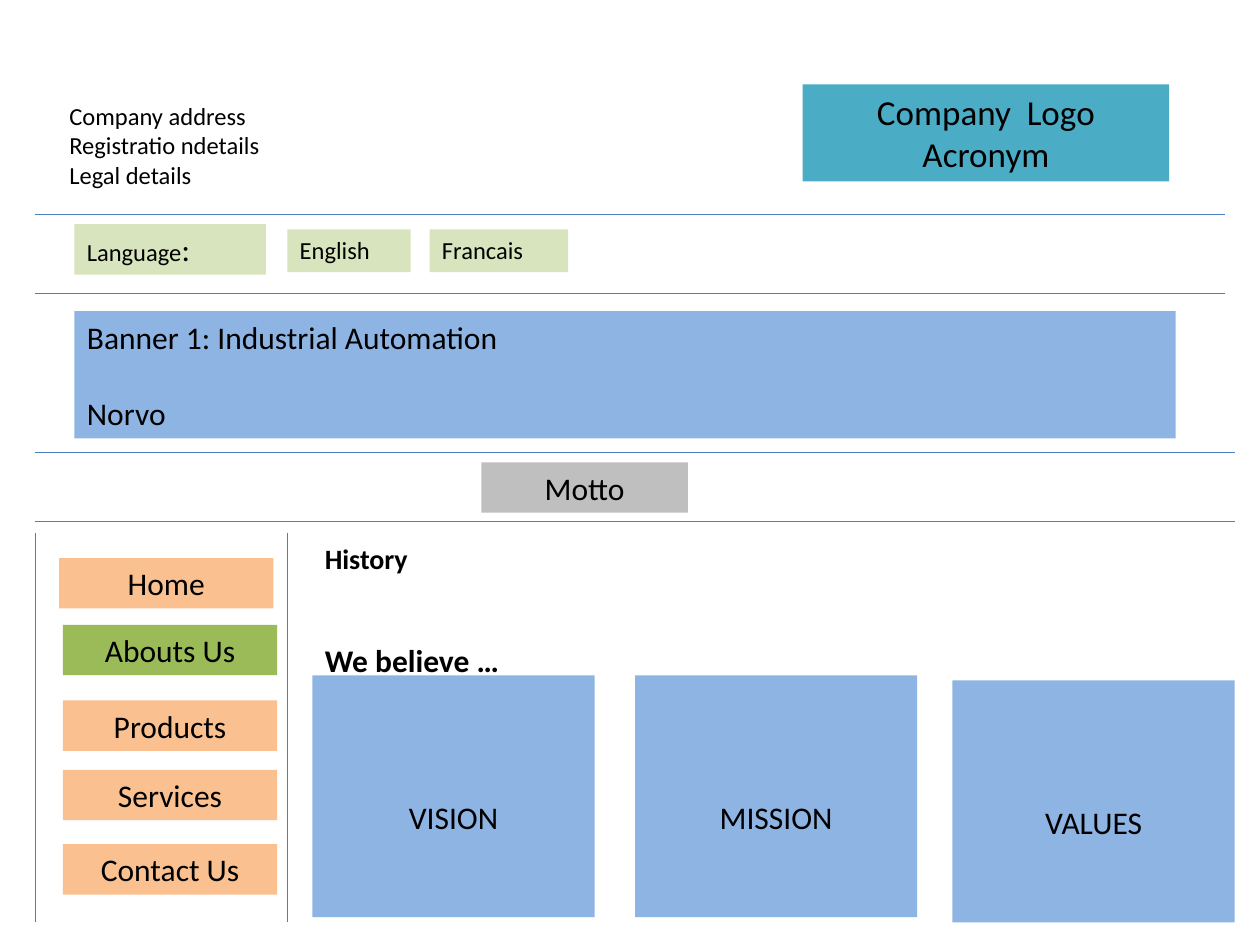
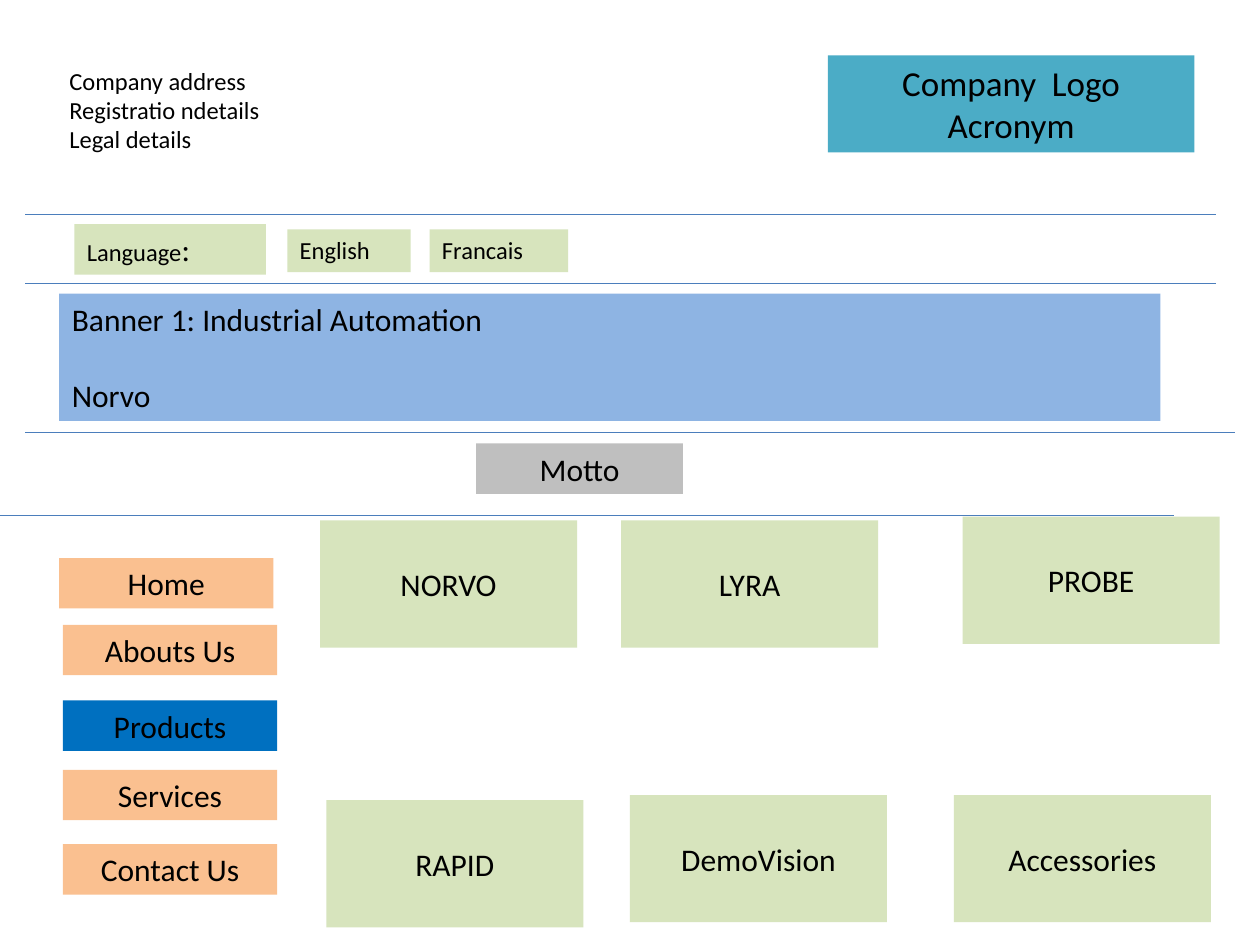
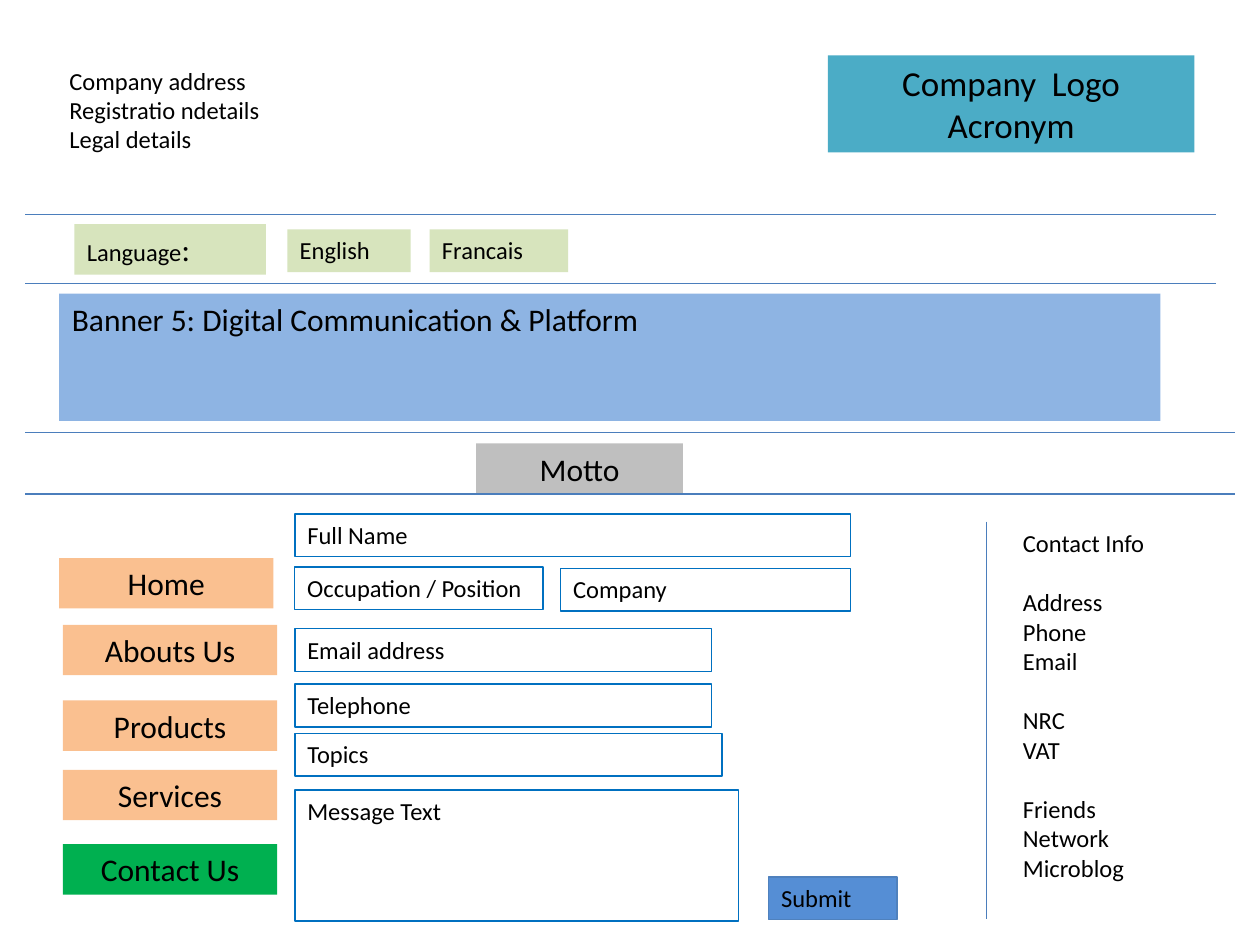
from dataclasses import dataclass, replace

from lxml import etree
from pptx import Presentation
from pptx.dml.color import RGBColor
from pptx.enum.shapes import MSO_CONNECTOR, MSO_SHAPE
from pptx.enum.text import MSO_ANCHOR, MSO_AUTO_SIZE, PP_ALIGN
from pptx.oxml.ns import qn
from pptx.util import Inches, Pt

RECT, LINE = MSO_SHAPE.RECTANGLE, MSO_CONNECTOR.STRAIGHT
LEFT, CENTER = PP_ALIGN.LEFT, PP_ALIGN.CENTER
TOP, MIDDLE = MSO_ANCHOR.TOP, MSO_ANCHOR.MIDDLE
NO_FIT = MSO_AUTO_SIZE.NONE


@dataclass(frozen=True)
class Theme:
    font: str = "Calibri"
    ink: str = "000000"
    logo: str = "4BACC6"
    pale: str = "D7E4BD"
    blue: str = "8EB4E3"
    peach: str = "FAC090"
    gray: str = "BFBFBF"
    rule: str = "4B7EBC"
    edge: str = "0070C0"
    send: str = "558ED5"
    rim: str = "4F81BD"
    small: int = 14
    mid: int = 16
    base: int = 18
    large: int = 20
    thin: float = 0.75
    lead: float = 1.22  # line height as a multiple of type size


T = Theme()


@dataclass(frozen=True)
class Look:
    fill: str | None = None
    edge: str | None = None
    size: int = T.base
    align: PP_ALIGN = CENTER
    anchor: MSO_ANCHOR = TOP
    bold: bool = False
    inset: float = 0.05


@dataclass(frozen=True)
class Box:
    text: str
    left: float
    top: float
    width: float
    height: float
    look: Look


@dataclass(frozen=True)
class Rule:
    x1: float
    y1: float
    x2: float
    y2: float


@dataclass(frozen=True)
class Head:
    """Places of the shared page head; the rules are listed per slide."""
    logo: tuple[float, float]
    info: float
    banner: tuple[float, float]
    motto: tuple[float, float]


PLAIN = Look(size=T.small, align=LEFT)
CHIP = replace(PLAIN, fill=T.pale)
FIELD = replace(PLAIN, edge=T.edge)
SUBMIT = replace(PLAIN, fill=T.send, edge=T.rim)
BANNER = Look(T.blue, align=LEFT)
NAV = Look(T.peach)
PANEL = Look(T.blue, inset=0.97)
TILE = Look(T.pale, anchor=MIDDLE)
BOLD = Look(align=LEFT, bold=True)

FIRST = Head((6.37, 0.67), 0.75, (0.59, 2.47), (3.82, 3.67))
LATER = Head((6.57, 0.44), 0.47, (0.47, 2.33), (3.78, 3.52))
TOP_RULES = [Rule(0.2, 1.7, 9.65, 1.7), Rule(0.2, 2.25, 9.65, 2.25),
             Rule(0.2, 3.43, 9.8, 3.43)]
MENU = [("Home", 0.47, 4.43), ("Abouts Us", 0.5, 4.96), ("Products", 0.5, 5.56),
        ("Services", 0.5, 6.11), ("Contact Us", 0.5, 6.7)]


def apply(item, values: dict) -> None:
    for name, value in values.items():
        setattr(item, name, value)


def color(code: str) -> RGBColor:
    return RGBColor.from_string(code)


def add_run(para, text: str, size: int, bold: bool = False) -> None:
    run = para.add_run()
    run.text = text
    apply(run.font, {"name": T.font, "size": Pt(size), "bold": bold})
    run.font.color.rgb = color(T.ink)


def write(shape, text: str, look: Look) -> None:
    """One paragraph a line; a double break opens a gap one line high."""
    frame = shape.text_frame
    apply(frame, {"word_wrap": True, "auto_size": NO_FIT,
                  "vertical_anchor": look.anchor,
                  "margin_left": Inches(0.1), "margin_right": Inches(0.1),
                  "margin_top": Inches(look.inset), "margin_bottom": Inches(0.05)})
    para = None
    for group in text.split("\n\n"):
        gap = 0 if para is None else look.size * T.lead
        for line in group.split("\n"):
            para = frame.paragraphs[0] if para is None else frame.add_paragraph()
            apply(para, {"alignment": look.align, "space_before": Pt(gap),
                         "space_after": Pt(0)})
            add_run(para, line, look.size, look.bold)
            gap = 0


def place(shape, box: Box) -> None:
    apply(shape, {"left": Inches(box.left), "top": Inches(box.top),
                  "width": Inches(box.width), "height": Inches(box.height)})
    if box.look.fill:
        shape.fill.solid()
        shape.fill.fore_color.rgb = color(box.look.fill)
    else:
        shape.fill.background()
    if box.look.edge:
        shape.line.color.rgb = color(box.look.edge)
        shape.line.width = Pt(T.thin)
    else:
        shape.line.fill.background()
    write(shape, box.text, box.look)


def add_box(slide, box: Box):
    if box.look.fill or box.look.edge:
        shape = slide.shapes.add_shape(RECT, 0, 0, 0, 0)
        shape.shadow.inherit = False
    else:
        shape = slide.shapes.add_textbox(0, 0, 0, 0)
    place(shape, box)
    return shape


def add_rule(slide, rule: Rule) -> None:
    ends = [Inches(v) for v in (rule.x1, rule.y1, rule.x2, rule.y2)]
    line = slide.shapes.add_connector(LINE, *ends)
    line.line.color.rgb = color(T.rule)
    line.line.width = Pt(T.thin)
    etree.SubElement(line._element.spPr, qn("a:effectLst"))


def add_page(deck, head: Head, banner: str, active: str, tint: str,
             rules: list[Rule], boxes: list[Box]) -> None:
    slide = deck.slides.add_slide(deck.slide_layouts[1])

    # Banner as title, company details as body
    place(slide.shapes.title, Box(banner, *head.banner, 8.74, 1.01, BANNER))
    body = slide.placeholders[1]
    place(body, Box("Company address\nRegistratio ndetails\nLegal details",
                    0.45, head.info, 3.67, 0.81, PLAIN))
    for para in body.text_frame.paragraphs:
        props = para._p.get_or_add_pPr()
        props.set("marL", "0")
        props.set("indent", "0")
        etree.SubElement(props, qn("a:buNone"))

    # Logo box, languages and motto
    add_box(slide, Box("Company  Logo\nAcronym", *head.logo, 2.91, 0.77,
                       Look(T.logo, size=T.large)))
    label = add_box(slide, Box("Language", 0.59, 1.78, 1.52, 0.4, CHIP))
    add_run(label.text_frame.paragraphs[0], ":", T.base)
    add_box(slide, Box("English", 2.28, 1.82, 0.98, 0.34, CHIP))
    add_box(slide, Box("Francais", 3.41, 1.82, 1.1, 0.34, CHIP))
    add_box(slide, Box("Motto", *head.motto, 1.64, 0.4, Look(T.gray)))

    # Rules, menu and page content
    for rule in rules:
        add_rule(slide, rule)
    for name, left, top in MENU:
        look = replace(NAV, fill=tint) if name == active else NAV
        add_box(slide, Box(name, left, top, 1.7, 0.4, look))
    for box in boxes:
        add_box(slide, box)


def main() -> None:
    deck = Presentation()
    deck.slide_width, deck.slide_height = Inches(10), Inches(7.5)
    brand = "Banner 1: Industrial Automation\n\nNorvo"

    # About us
    rules = [Rule(0.28, y, end, y) for y, end in
             ((1.7, 9.72), (2.33, 9.72), (3.59, 9.8), (4.14, 9.8))]
    rules += [Rule(x, 4.23, x, 7.32) for x in (0.28, 2.28)]
    panels = [Box(name, left, top, 2.24, 1.92, PANEL) for name, left, top in
              (("VISION", 2.48, 5.36), ("MISSION", 5.04, 5.36), ("VALUES", 7.56, 5.4))]
    heads = [Box("History", 2.48, 4.25, 1.73, 0.4, replace(BOLD, size=T.mid)),
             Box("We believe …", 2.48, 5.04, 2.03, 0.4, BOLD)]
    add_page(deck, FIRST, brand, "Abouts Us", "9BBB59", rules, panels + heads)

    # Products
    tiles = [Box(name, left, top, 2.04, 1.01, TILE) for name, left, top in
             (("NORVO", 2.54, 4.13), ("LYRA", 4.93, 4.13), ("PROBE", 7.64, 4.1),
              ("RAPID", 2.59, 6.35), ("DemoVision", 5, 6.31), ("Accessories", 7.57, 6.31))]
    add_page(deck, LATER, brand, "Products", "0070C0",
             TOP_RULES + [Rule(0, 4.09, 9.32, 4.09)], tiles)

    # Contact form
    form = [Box(name, left, top, width, 0.34, FIELD) for name, left, top, width in
            (("Full Name", 2.34, 4.08, 4.41), ("Occupation / Position", 2.34, 4.5, 1.97),
             ("Company", 4.45, 4.51, 2.3), ("Email address", 2.34, 4.99, 3.31),
             ("Telephone", 2.34, 5.43, 3.31), ("Topics", 2.34, 5.82, 3.39))]
    form += [Box("Message Text", 2.34, 6.27, 3.52, 1.04, FIELD),
             Box("Submit", 6.1, 6.96, 1.02, 0.34, SUBMIT),
             Box("Contact Info\n\nAddress\nPhone\nEmail\n\nNRC\nVAT\n\n"
                 "Friends\nNetwork\nMicroblog", 8.02, 4.14, 1.77, 2.93, PLAIN)]
    add_page(deck, LATER, "Banner 5: Digital Communication & Platform",
             "Contact Us", "00B050",
             TOP_RULES + [Rule(0.2, 3.92, 9.8, 3.92), Rule(7.83, 4.14, 7.83, 7.29)], form)

    deck.save("out.pptx")


if __name__ == "__main__":
    main()
